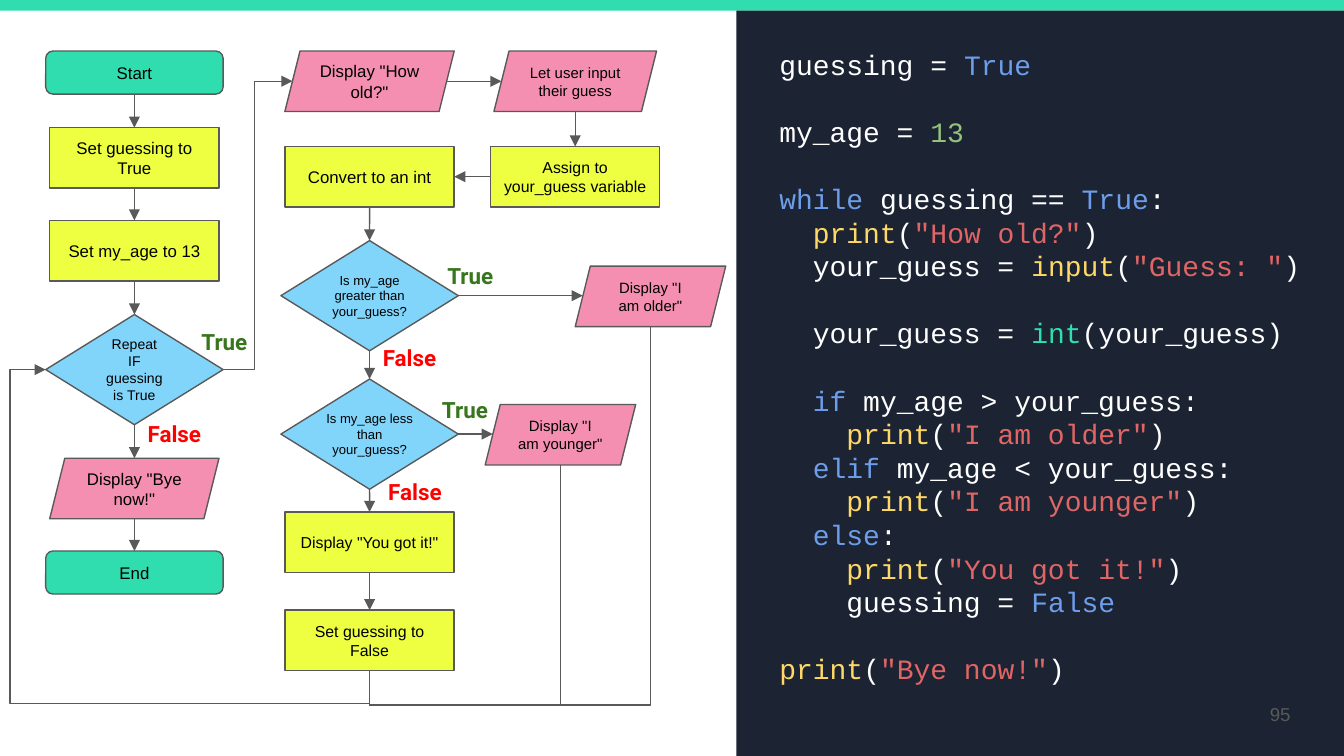
from dataclasses import dataclass

from lxml.etree import SubElement
from pptx import Presentation
from pptx.dml.color import RGBColor
from pptx.enum.shapes import MSO_CONNECTOR, MSO_SHAPE
from pptx.enum.text import MSO_ANCHOR, PP_ALIGN
from pptx.oxml.ns import qn
from pptx.util import Inches, Pt

TOP, LEFT, BOTTOM, RIGHT = range(4)
TERMINAL = MSO_SHAPE.ROUNDED_RECTANGLE
PROCESS = MSO_SHAPE.RECTANGLE
DECISION = MSO_SHAPE.FLOWCHART_DECISION
DISPLAY = MSO_SHAPE.PARALLELOGRAM


@dataclass(frozen=True)
class Theme:
    """Colours, fonts and type sizes of the slide."""
    accent: str = "30DDAE"
    panel: str = "1C2333"
    process: str = "EEFF41"
    decision: str = "81D4FA"
    display: str = "F48FB1"
    outline: str = "595959"
    ink: str = "000000"
    yes: str = "38761D"
    no: str = "FF0000"
    plain: str = "FFFFFF"
    keyword: str = "6D9EEB"
    call: str = "FFD966"
    string: str = "E06666"
    number: str = "93C47D"
    body_font: str = "Arial"
    code_font: str = "Courier New"
    label_font: str = "Roboto"
    code_size: float = 15
    code_line: float = 18
    branch_size: float = 12
    page_size: float = 10
    step_size: float = 9
    compact_size: float = 8.5
    small_size: float = 8
    loop_size: float = 7.5
    test_size: float = 7


THEME = Theme()
STEP_STYLES = {
    TERMINAL: (1.32, 0.32, THEME.accent),
    PROCESS: (1.26, 0.45, THEME.process),
    DECISION: (1.32, 0.82, THEME.decision),
    DISPLAY: (1.26, 0.45, THEME.display),
}


def add_run(paragraph, text, font, size, color, bold=False):
    """Append one formatted run."""
    run = paragraph.add_run()
    run.text = text
    run.font.name, run.font.size, run.font.bold = font, Pt(size), bold
    run.font.color.rgb = RGBColor.from_string(color)


def set_frame(frame, inset=0.1, anchor=MSO_ANCHOR.TOP):
    """Wrap a text frame and set its insets and anchor."""
    frame.word_wrap = True
    frame.vertical_anchor = anchor
    frame.margin_left = frame.margin_right = Inches(inset)
    frame.margin_top = frame.margin_bottom = Inches(inset)


def add_block(slide, kind, left, top, width, height, fill):
    """Add a filled shape without shadow or outline."""
    block = slide.shapes.add_shape(kind, Inches(left), Inches(top), Inches(width), Inches(height))
    block.shadow.inherit = False
    block.fill.solid()
    block.fill.fore_color.rgb = RGBColor.from_string(fill)
    block.line.fill.background()
    return block


def add_step(slide, kind, center, top, text, size=THEME.step_size, width=None, inset=0.1):
    """Add a flowchart step centred on a column."""
    usual_width, height, fill = STEP_STYLES[kind]
    width = width or usual_width
    step = add_block(slide, kind, center - width / 2, top, width, height, fill)
    step.line.color.rgb = RGBColor.from_string(THEME.outline)
    step.line.width = Pt(0.75)
    set_frame(step.text_frame, inset, MSO_ANCHOR.MIDDLE)
    paragraph = step.text_frame.paragraphs[0]
    paragraph.alignment = PP_ALIGN.CENTER
    add_run(paragraph, text, THEME.body_font, size, THEME.ink)
    return step


def add_label(slide, left, top, width, height, text, font, size, color, bold=False,
              align=PP_ALIGN.LEFT, anchor=MSO_ANCHOR.TOP):
    """Add a one-line text box."""
    label = slide.shapes.add_textbox(Inches(left), Inches(top), Inches(width), Inches(height))
    set_frame(label.text_frame, anchor=anchor)
    paragraph = label.text_frame.paragraphs[0]
    paragraph.alignment = align
    add_run(paragraph, text, font, size, color, bold)


def add_branch(slide, left, top, answer):
    """Add the answer beside a decision's exit."""
    width, color = (0.65, THEME.yes) if answer else (0.72, THEME.no)
    add_label(slide, left, top, width, 0.37, str(answer), THEME.label_font,
              THEME.branch_size, color, bold=True)


def style_line(connector, arrow=True):
    """Set a connector's outline, arrowhead and lack of shadow."""
    connector.line.color.rgb = RGBColor.from_string(THEME.outline)
    connector.line.width = Pt(0.75)
    if arrow:
        SubElement(connector.line._get_or_add_ln(), qn("a:tailEnd"), type="triangle")
    SubElement(connector._element.spPr, qn("a:effectLst"))


def side_point(step, side):
    """Return the middle of a step's side, allowing for slanted edges."""
    slant = step.height // 8 if step.auto_shape_type == DISPLAY else 0
    middle_x, middle_y = step.left + step.width // 2, step.top + step.height // 2
    return {
        TOP: (middle_x, step.top),
        LEFT: (step.left + slant, middle_y),
        BOTTOM: (middle_x, step.top + step.height),
        RIGHT: (step.left + step.width - slant, middle_y),
    }[side]


def link(slide, source, target, exit_side=BOTTOM):
    """Join two neighbouring steps with a level or upright arrow."""
    entry_side = (exit_side + 2) % 4
    begin_x, begin_y = side_point(source, exit_side)
    end_x, end_y = side_point(target, entry_side)
    if exit_side == BOTTOM:
        end_x = begin_x
    else:
        end_y = begin_y
    connector = slide.shapes.add_connector(MSO_CONNECTOR.STRAIGHT, begin_x, begin_y, end_x, end_y)
    if source.auto_shape_type != DISPLAY:
        connector.begin_connect(source, exit_side)
    if target.auto_shape_type != DISPLAY:
        connector.end_connect(target, entry_side)
    style_line(connector)


def bend(slide, begin, end, bends, turned=False, arrow=True):
    """Add an elbow line, turned a quarter when it leaves downwards."""
    (x1, y1), (x2, y2) = begin, end
    if turned:
        middle_x, middle_y = (x1 + x2) // 2, (y1 + y2) // 2
        half_width, half_height = (y2 - y1) // 2, (x1 - x2) // 2
        x1, x2 = middle_x - half_width, middle_x + half_width
        y1, y2 = middle_y - half_height, middle_y + half_height
    connector = slide.shapes.add_connector(MSO_CONNECTOR.ELBOW, x1, y1, x2, y2)
    properties = connector._element.spPr
    if turned:
        properties.find(qn("a:xfrm")).set("rot", str(90 * 60000))
    geometry = properties.find(qn("a:prstGeom"))
    geometry.set("prst", f"bentConnector{len(bends) + 2}")
    guides = geometry.find(qn("a:avLst"))
    for number, position in enumerate(bends, 1):
        SubElement(guides, qn("a:gd"), name=f"adj{number}", fmla=f"val {round(position * 100000)}")
    style_line(connector, arrow)


def add_flowchart(slide):
    """Draw the guessing game's steps, links and answers."""
    setup, game, entry = 1, 2.75, 4.28
    start = add_step(slide, TERMINAL, setup, 0.38, "Start")
    set_guessing = add_step(slide, PROCESS, setup, 0.95, "Set guessing to True")
    set_age = add_step(slide, PROCESS, setup, 1.64, "Set my_age to 13")
    repeat = add_step(slide, DECISION, setup, 2.34, "Repeat IF guessing is True",
                      THEME.loop_size, inset=0.11)
    bye = add_step(slide, DISPLAY, setup, 3.41, 'Display "Bye now!"')
    end = add_step(slide, TERMINAL, setup, 4.1, "End")
    ask = add_step(slide, DISPLAY, game, 0.38, 'Display "How old?"')
    guess = add_step(slide, DISPLAY, entry, 0.38, "Let user input their guess",
                     THEME.small_size, 1.21)
    assign = add_step(slide, PROCESS, entry, 1.09, "Assign to your_guess variable",
                      THEME.compact_size)
    convert = add_step(slide, PROCESS, game, 1.09, "Convert to an int")
    greater = add_step(slide, DECISION, game, 1.79, "Is my_age greater than your_guess?",
                       THEME.test_size, inset=0)
    older = add_step(slide, DISPLAY, 4.84, 1.98, 'Display "I am older"', THEME.small_size, 1.12)
    less = add_step(slide, DECISION, game, 2.82, "Is my_age less than your_guess?",
                    THEME.test_size, inset=0)
    younger = add_step(slide, DISPLAY, 4.17, 3.01, 'Display "I am younger"',
                       THEME.small_size, 1.12)
    correct = add_step(slide, PROCESS, game, 3.81, 'Display "You got it!"', THEME.compact_size)
    stop = add_step(slide, PROCESS, game, 4.54, "Set guessing to False", THEME.compact_size)

    for chain in ((start, set_guessing, set_age, repeat, bye, end), (guess, assign),
                  (convert, greater, less, correct, stop)):
        for source, target in zip(chain, chain[1:]):
            link(slide, source, target)
    for source, target in ((ask, guess), (greater, older), (less, younger)):
        link(slide, source, target, RIGHT)
    link(slide, assign, convert, LEFT)

    bottom = side_point(stop, BOTTOM)
    bend(slide, side_point(repeat, RIGHT), side_point(ask, LEFT), [0.45])
    bend(slide, bottom, side_point(repeat, LEFT), [-0.11, 1.11], turned=True)
    bend(slide, side_point(younger, BOTTOM), bottom, [1.17], turned=True, arrow=False)
    bend(slide, side_point(older, BOTTOM), bottom, [1.1], turned=True, arrow=False)

    for left, top in ((1.4, 2.34), (3.23, 1.85), (3.19, 2.85)):
        add_branch(slide, left, top, True)
    for left, top in ((1, 3.03), (2.75, 2.46), (2.79, 3.46)):
        add_branch(slide, left, top, False)


def call(name, text, indent=""):
    """Return the coloured runs of a call with one string."""
    return [("plain", indent), ("call", name), ("plain", "("), ("string", f'"{text}"'),
            ("plain", ")")]


def add_code(slide):
    """Write the program as groups of lines set apart by one line."""
    groups = [
        [[("plain", "guessing = "), ("keyword", "True")]],
        [[("plain", "my_age = "), ("number", "13")]],
        [[("keyword", "while"), ("plain", " guessing == "), ("keyword", "True"), ("plain", ":")],
         call("print", "How old?", "  "),
         [("plain", "  your_guess = "), *call("input", "Guess: ")]],
        [[("plain", "  your_guess = "), ("accent", "int"), ("plain", "(your_guess)")]],
        [[("plain", "  "), ("keyword", "if"), ("plain", " my_age > your_guess:")],
         call("print", "I am older", "    "),
         [("plain", "  "), ("keyword", "elif"), ("plain", " my_age < your_guess:")],
         call("print", "I am younger", "    "),
         [("plain", "  "), ("keyword", "else"), ("plain", ":")],
         call("print", "You got it!", "    "),
         [("plain", "    guessing = "), ("keyword", "False")]],
        [call("print", "Bye now!")],
    ]
    listing = slide.shapes.add_textbox(Inches(5.7), Inches(0.25), Inches(4.1), Inches(4.85))
    frame = listing.text_frame
    set_frame(frame)
    for group_number, group in enumerate(groups):
        for line_number, line in enumerate(group):
            first = group_number == line_number == 0
            paragraph = frame.paragraphs[0] if first else frame.add_paragraph()
            paragraph.line_spacing = Pt(THEME.code_line)
            if line_number == 0 and not first:
                paragraph.space_before = Pt(THEME.code_line)
            for role, text in line:
                if text:
                    add_run(paragraph, text, THEME.code_font, THEME.code_size,
                            getattr(THEME, role))


def main():
    """Build and save the slide."""
    deck = Presentation()
    deck.slide_width, deck.slide_height = Inches(10), Inches(5.625)
    slide = deck.slides.add_slide(deck.slide_layouts[6])
    add_block(slide, MSO_SHAPE.RECTANGLE, -0.01, 0, 10.02, 0.08, THEME.accent)
    add_block(slide, MSO_SHAPE.RECTANGLE, 5.48, 0.08, 4.53, 5.55, THEME.panel)
    add_code(slide)
    add_flowchart(slide)
    add_label(slide, 9.1, 5.1, 0.6, 0.43, "95", THEME.body_font, THEME.page_size,
              THEME.outline, align=PP_ALIGN.RIGHT, anchor=MSO_ANCHOR.MIDDLE)
    deck.save("out.pptx")


if __name__ == "__main__":
    main()
